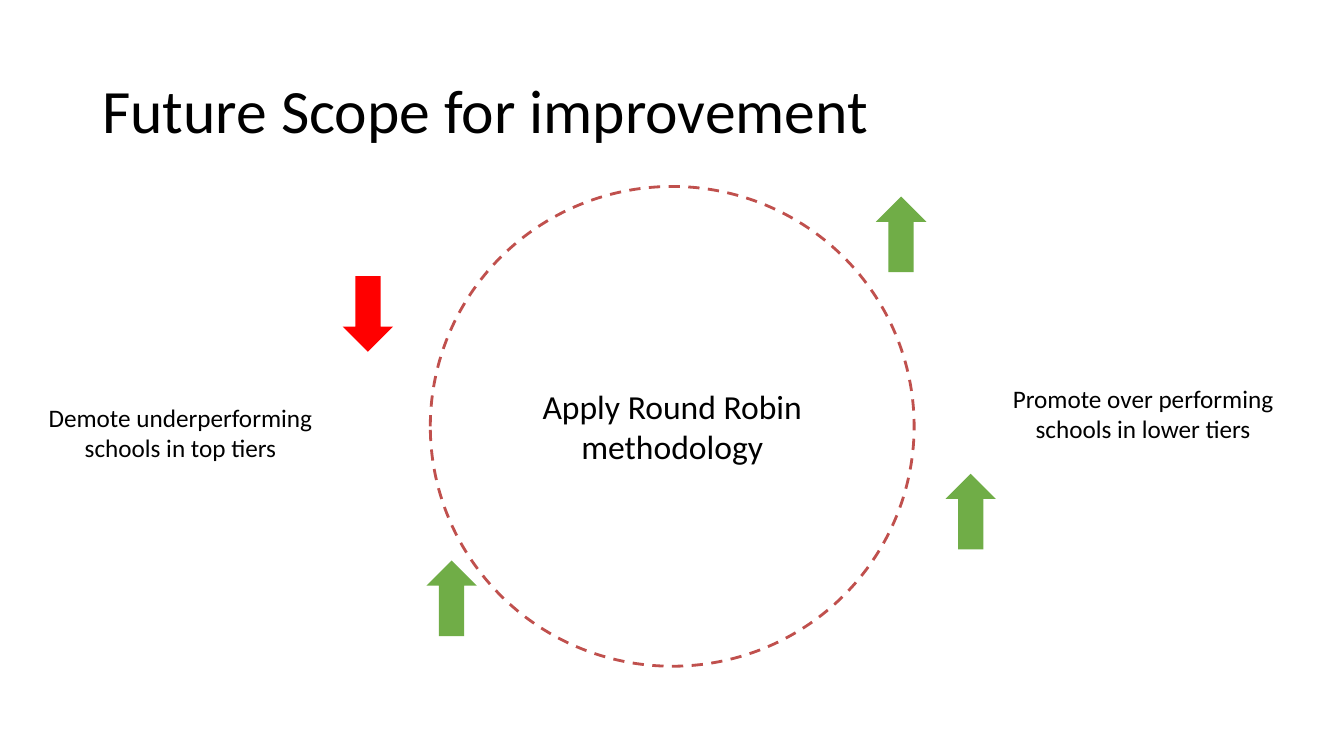
from pptx import Presentation
from pptx.dml.color import RGBColor
from pptx.enum import dml, shapes, text
from pptx.util import Pt

BLACK = RGBColor(0x00, 0x00, 0x00)
GREEN = RGBColor(0x70, 0xAD, 0x47)
RED = RGBColor(0xFF, 0x00, 0x00)
BRICK = RGBColor(0xC0, 0x50, 0x4D)
FONT = "Calibri"
MID, TOP = text.MSO_ANCHOR.MIDDLE, text.MSO_ANCHOR.TOP
LEFT, CENTER = text.PP_ALIGN.LEFT, text.PP_ALIGN.CENTER


def write(shape, words, size, anchor=MID, align=CENTER, spacing=1.0):
    frame = shape.text_frame
    frame.word_wrap = True
    frame.vertical_anchor = anchor
    para = frame.paragraphs[0]
    para.text = words
    para.alignment = align
    para.line_spacing = spacing
    para.font.color.rgb = BLACK
    for key, value in {"name": FONT, "size": Pt(size)}.items():
        setattr(para.font, key, value)


def label(slide, box, words, size, **style):
    write(slide.shapes.add_textbox(*map(Pt, box)), words, size, **style)


def ring(slide, box, words):
    """Draw the dashed, unfilled circle with its centred text."""
    oval = slide.shapes.add_shape(shapes.MSO_SHAPE.OVAL, *map(Pt, box))
    oval.shadow.inherit = False
    oval.fill.background()
    oval.line.color.rgb = BRICK
    oval.line.width = Pt(2)
    oval.line.dash_style = dml.MSO_LINE.DASH
    write(oval, words, 24)


def arrow(slide, left, top, color, turn=0):
    mark = slide.shapes.add_shape(
        shapes.MSO_SHAPE.UP_ARROW, Pt(left), Pt(top), Pt(36), Pt(54))
    mark.shadow.inherit = False
    mark.fill.solid()
    mark.fill.fore_color.rgb = color
    mark.line.fill.background()
    mark.rotation = turn


def main():
    deck = Presentation()
    deck.slide_width, deck.slide_height = Pt(960), Pt(540)
    slide = deck.slides.add_slide(deck.slide_layouts[6])

    label(slide, (66, 28.8, 828, 104.4), "Future Scope for improvement", 44,
          align=LEFT, spacing=0.9)
    ring(slide, (307.4, 133.2, 345.6, 342.7), "Apply Round Robin methodology")

    for left, top in ((675.4, 338.4), (304.6, 400.3), (625.7, 140.4)):
        arrow(slide, left, top, GREEN)
    arrow(slide, 244.8, 197.3, RED, turn=180)

    for left, top, words in (
        (711.4, 270, "Promote over performing schools in lower tiers"),
        (23.8, 283.7, "Demote underperforming schools in top tiers"),
    ):
        label(slide, (left, top, 210.2, 51), words, 18, anchor=TOP)

    deck.save("out.pptx")


if __name__ == "__main__":
    main()
